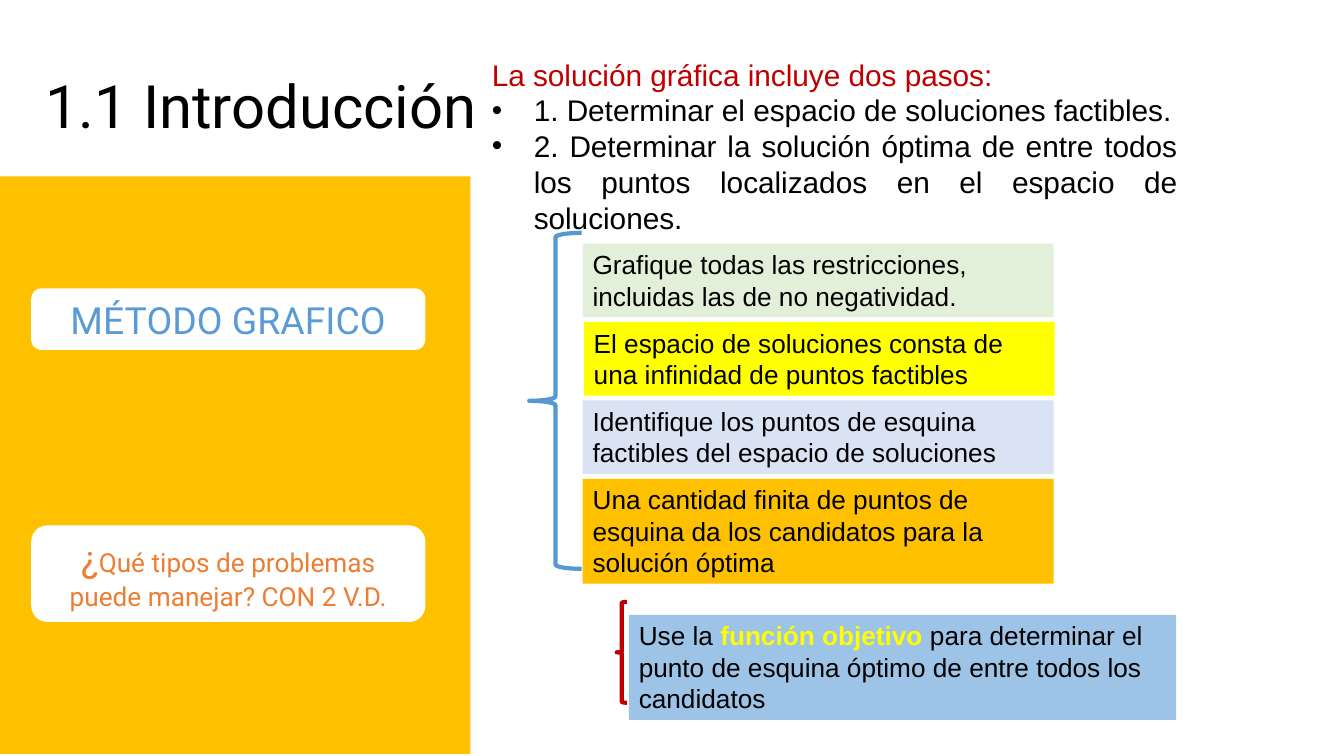
from dataclasses import dataclass

from lxml import etree
from pptx import Presentation
from pptx.dml.color import RGBColor
from pptx.enum import shapes, text
from pptx.oxml import ns
from pptx.util import Pt


@dataclass(frozen=True)
class Theme:
    head: str = "Roboto"
    body: str = "Arial"
    black: str = "000000"
    white: str = "FFFFFF"
    gold: str = "FFC000"
    red: str = "C00000"
    blue: str = "5B9BD5"
    brace: str = "5698D3"
    orange: str = "ED7D31"
    yellow: str = "FFFF00"
    green: str = "E2F0D9"
    pale: str = "DAE3F3"
    sky: str = "9DC3E6"
    title: float = 42.7
    label: float = 26.7
    lead: float = 21.3
    note: float = 18.7


T = Theme()
KIND = shapes.MSO_SHAPE
SIDE = text.PP_ALIGN


def rgb(code):
    return RGBColor.from_string(code)


def write(para, words, font=T.body, size=T.note, color=T.black, bold=False,
          align=SIDE.LEFT):
    """Add one run of text to a paragraph."""
    para.alignment = align
    run = para.add_run()
    run.text = words
    run.font.name = font
    run.font.size = Pt(size)
    run.font.bold = bold
    run.font.color.rgb = rgb(color)


def bullet(para, indent=30):
    props = para._p.get_or_add_pPr()
    props.set("marL", str(Pt(indent)))
    props.set("indent", str(-Pt(indent)))
    tint = etree.SubElement(props, ns.qn("a:buClr"))
    etree.SubElement(tint, ns.qn("a:srgbClr"), val=T.black)
    etree.SubElement(props, ns.qn("a:buFont"), typeface=T.body)
    etree.SubElement(props, ns.qn("a:buChar"), char="•")


def place(slide, kind, box):
    shape = slide.shapes.add_shape(kind, *map(Pt, box))
    shape.shadow.inherit = False
    return shape


def block(slide, box, fill, kind=KIND.RECTANGLE, mid=False):
    """Draw a filled shape and return its first paragraph."""
    shape = place(slide, kind, box)
    shape.fill.solid()
    shape.fill.fore_color.rgb = rgb(fill)
    shape.line.fill.background()
    frame = shape.text_frame
    frame.word_wrap = True
    anchor = text.MSO_ANCHOR
    frame.vertical_anchor = anchor.MIDDLE if mid else anchor.TOP
    return frame.paragraphs[0]


def brace(slide, box, color):
    shape = place(slide, KIND.LEFT_BRACE, box)
    shape.fill.background()
    shape.line.color.rgb = rgb(color)
    shape.line.width = Pt(3)


def heading(slide, words, box):
    title = slide.shapes.title
    title.left, title.top, title.width, title.height = map(Pt, box)
    frame = title.text_frame
    frame.auto_size = text.MSO_AUTO_SIZE.NONE
    frame.vertical_anchor = text.MSO_ANCHOR.MIDDLE
    write(frame.paragraphs[0], words, font=T.head, size=T.title)


def listing(slide, box, lead, items):
    """Write a lead line with bulleted items below it."""
    frame = slide.shapes.add_textbox(*map(Pt, box)).text_frame
    frame.word_wrap = True
    look = dict(size=T.lead, align=SIDE.JUSTIFY)
    write(frame.paragraphs[0], lead, color=T.red, **look)
    for item in items:
        para = frame.add_paragraph()
        write(para, item, **look)
        bullet(para)


def main():
    deck = Presentation()
    deck.slide_width, deck.slide_height = Pt(960), Pt(540)
    slide = deck.slides.add_slide(deck.slide_layouts[5])

    # Left panel and title
    block(slide, (0, 126, 336, 412.6), T.gold)
    heading(slide, "1.1 Introducción", (25.2, 45.4, 816, 59))

    # The two steps
    listing(slide, (344.2, 36.7, 504, 136.8),
            "La solución gráfica incluye dos pasos:",
            ["1. Determinar el espacio de soluciones factibles.",
             "2. Determinar la solución óptima de entre todos los puntos "
             "localizados en el espacio de soluciones."])

    # Labels on the panel
    labels = [
        (206, 44, T.blue, [("MÉTODO GRAFICO", T.label)]),
        (375.3, 69, T.orange,
         [("¿", T.label),
          ("Qué tipos de problemas puede manejar? CON 2 V.D.", T.note)]),
    ]
    for top, high, color, runs in labels:
        para = block(slide, (22.3, top, 281.5, high), T.white,
                     KIND.ROUNDED_RECTANGLE, mid=True)
        for words, size in runs:
            write(para, words, font=T.head, size=size, color=color,
                  align=SIDE.CENTER)

    # Stack of notes for the first step
    notes = [
        (T.green, 52.6, "Grafique todas las restricciones, "
                        "incluidas las de no negatividad."),
        (T.yellow, 52.6, "El espacio de soluciones consta de "
                         "una infinidad de puntos factibles"),
        (T.pale, 52.6, "Identifique los puntos de esquina "
                       "factibles del espacio de soluciones"),
        (T.gold, 75, "Una cantidad finita de puntos de esquina "
                     "da los candidatos para la solución óptima"),
    ]
    for row, (fill, high, words) in enumerate(notes):
        left = 417 if fill == T.yellow else 416.2
        para = block(slide, (left, 174 + 56 * row, 336.4, high), fill)
        write(para, words)

    # Note for the second step
    para = block(slide, (449.2, 439.2, 391, 75), T.sky)
    write(para, "Use la ")
    write(para, "función objetivo ", color=T.yellow, bold=True)
    write(para, "para determinar el punto de esquina óptimo "
                "de entre todos los candidatos")

    # Braces
    brace(slide, (378, 166.3, 37.5, 240), T.brace)
    brace(slide, (440.6, 430, 7.2, 72), T.red)

    deck.save("out.pptx")


if __name__ == "__main__":
    main()
